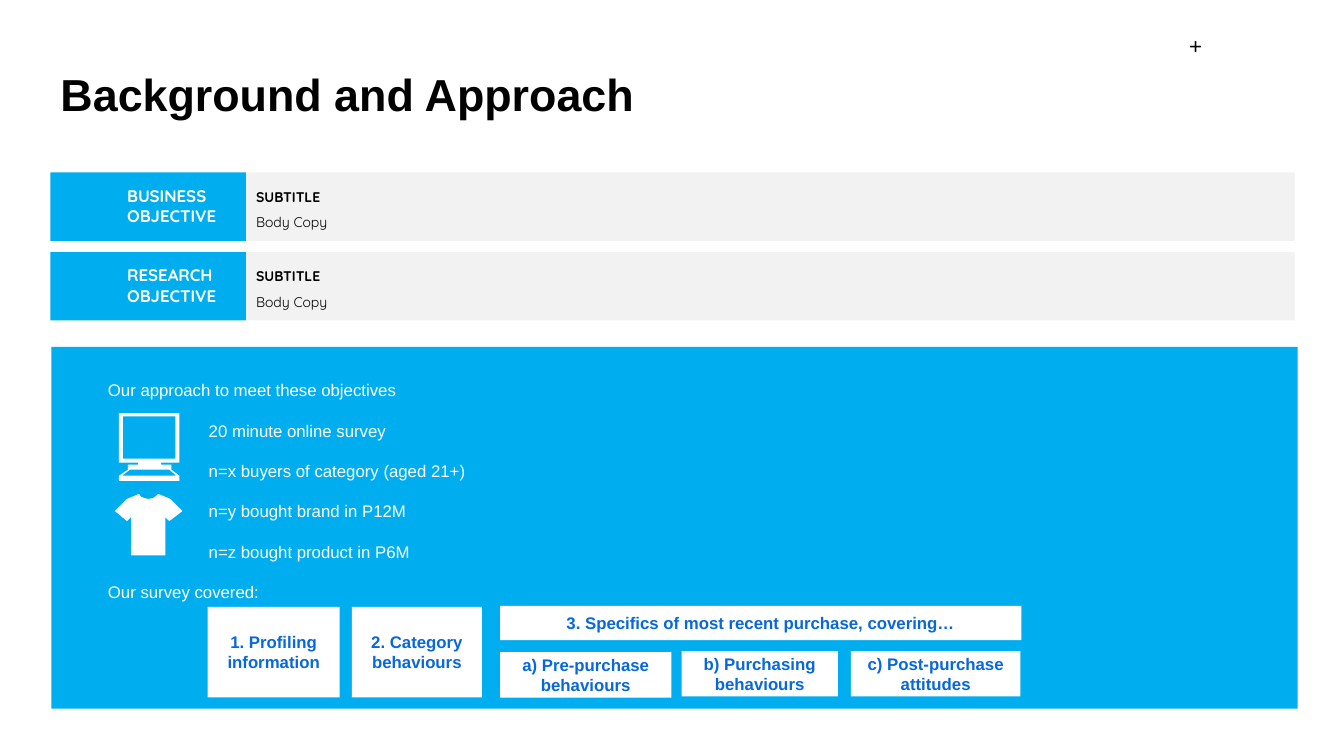
from lxml.etree import SubElement
from pptx import Presentation
from pptx.dml.color import RGBColor
from pptx.enum.shapes import MSO_SHAPE
from pptx.enum.text import MSO_ANCHOR as ANCHOR, PP_ALIGN as ALIGN
from pptx.oxml.ns import qn
from pptx.util import Inches, Pt

BLUE, GREY, WHITE, BLACK, LINK = "00AEEF", "F2F2F2", "FFFFFF", "000000", "0767DC"

OBJECTIVES = [("BUSINESS OBJECTIVE", 1.71), ("RESEARCH OBJECTIVE", 2.5)]

APPROACH = [
    ("Our approach to meet these objectives", 0),
    ("20 minute online survey", 1),
    ("n=x buyers of category (aged 21+)", 1),
    ("n=y bought brand in P12M", 1),
    ("n=z bought product in P6M", 1),
    ("Our survey covered:", 0),
]

TOPICS = [
    ("1. Profiling information", 2.06, 6.02, 1.31, 0.9),
    ("2. Category behaviours", 3.49, 6.02, 1.29, 0.9),
    ("3. Specifics of most recent purchase, covering…", 4.96, 6.01, 5.17, 0.34),
    ("a) Pre-purchase behaviours", 4.96, 6.47, 1.7, 0.45),
    ("b) Purchasing behaviours", 6.76, 6.46, 1.55, 0.45),
    ("c) Post-purchase attitudes", 8.44, 6.46, 1.68, 0.45),
]

MONITOR = [
    [(1.29, 4.66), (1.21, 4.72), (1.75, 4.72), (1.68, 4.66)],
    [(1.22, 4.13), (1.22, 4.55), (1.74, 4.55), (1.74, 4.13)],
    [(1.18, 4.1), (1.78, 4.1), (1.78, 4.59), (1.6, 4.59), (1.6, 4.61),
     (1.7, 4.61), (1.7, 4.66), (1.78, 4.72), (1.78, 4.77), (1.18, 4.77),
     (1.18, 4.72), (1.27, 4.66), (1.27, 4.61), (1.37, 4.61), (1.37, 4.59),
     (1.18, 4.59)],
]

SHIRT = [
    [(1.38, 4.9), (1.4, 4.93), (1.43, 4.94), (1.47, 4.95), (1.52, 4.94),
     (1.55, 4.92), (1.57, 4.9), (1.69, 4.95), (1.81, 5.07), (1.68, 5.17),
     (1.64, 5.13), (1.64, 5.51), (1.3, 5.51), (1.3, 5.13), (1.26, 5.17),
     (1.14, 5.07), (1.26, 4.95)],
]


def color(value):
    """Turn a hex string into a colour."""
    return RGBColor.from_string(value)


def format_text(p, size, value, font="Arial", bold=False):
    """Set the font of every run in a paragraph."""
    for r in p.runs:
        r.font.size, r.font.name, r.font.bold = Pt(size), font, bold
        r.font.color.rgb = color(value)


def set_frame(tf, anchor=ANCHOR.TOP, margins=(0.1, 0.05, 0.1, 0.05)):
    """Set wrapping, anchor and margins of a text frame."""
    tf.word_wrap = True
    tf.vertical_anchor = anchor
    tf.margin_left, tf.margin_top, tf.margin_right, tf.margin_bottom = map(Inches, margins)


def place(sp, x, y, w, h):
    """Move and size a shape."""
    sp.left, sp.top, sp.width, sp.height = map(Inches, (x, y, w, h))


def paint(sp, fill):
    """Give a shape a flat fill without line or shadow."""
    sp.shadow.inherit = False
    sp.fill.solid()
    sp.fill.fore_color.rgb = color(fill)
    sp.line.fill.background()


def add_box(s, x, y, w, h, fill):
    """Add a filled rectangle."""
    sp = s.shapes.add_shape(MSO_SHAPE.RECTANGLE, *map(Inches, (x, y, w, h)))
    paint(sp, fill)
    return sp


def add_text(s, x, y, w, h, text, anchor, margins):
    """Add a text box and return its text frame."""
    tf = s.shapes.add_textbox(*map(Inches, (x, y, w, h))).text_frame
    set_frame(tf, anchor, margins)
    tf.text = text
    return tf


def add_title(s, text):
    """Fill the title placeholder."""
    sp = s.shapes.title
    place(sp, 0.5, 0.17, 9.17, 1.08)
    tf = sp.text_frame
    set_frame(tf, ANCHOR.BOTTOM)
    tf.text = text
    p = tf.paragraphs[0]
    p.alignment, p.line_spacing = ALIGN.LEFT, 0.9
    format_text(p, 32, BLACK, bold=True)


def add_objective(s, label, y):
    """Add one objective row with its label, subtitle and body copy."""
    add_box(s, 2.44, y, 10.4, 0.68, GREY)
    add_box(s, 0.5, y, 1.94, 0.68, BLUE)
    tf = add_text(s, 1.26, y + 0.13, 1.12, 0.4, label, ANCHOR.TOP, (0, 0, 0, 0))
    format_text(tf.paragraphs[0], 12, WHITE, "Quicksand", True)
    tf = add_text(s, 2.54, y + 0.04, 7.12, 0.62, "SUBTITLE\nBody Copy",
                  ANCHOR.MIDDLE, (0, 0.05, 0.05, 0.05))
    subtitle, body = tf.paragraphs
    subtitle.line_spacing = body.line_spacing = 1.2
    body.space_before = Pt(4)
    format_text(subtitle, 10, BLACK, "Quicksand", True)
    format_text(body, 10, BLACK, "Quicksand")


def add_approach(s, lines):
    """Fill the body placeholder and bring it in front of the panel."""
    sp = s.placeholders[1]
    s.shapes._spTree.append(sp._element)
    place(sp, 0.97, 3.72, 9.3, 2.52)
    tf = sp.text_frame
    set_frame(tf)
    tf.text = "\n".join(text for text, _ in lines)
    for i, (p, (_, indent)) in enumerate(zip(tf.paragraphs, lines)):
        pPr = p._p.get_or_add_pPr()
        pPr.set("marL", str(Inches(indent)))
        pPr.set("indent", "0")
        SubElement(pPr, qn("a:buNone"))
        p.space_before = Pt(14.4 if i else 0)
        format_text(p, 12, WHITE)


def add_topic(s, text, x, y, w, h):
    """Add a white box naming a survey topic."""
    tf = add_box(s, x, y, w, h, WHITE).text_frame
    set_frame(tf, ANCHOR.MIDDLE)
    tf.text = text
    tf.paragraphs[0].alignment = ALIGN.CENTER
    format_text(tf.paragraphs[0], 12, LINK, bold=True)


def add_icon(s, contours):
    """Draw a white icon from closed contours given in inches."""
    first, *others = [[(Inches(x), Inches(y)) for x, y in contour] for contour in contours]
    builder = s.shapes.build_freeform(*first[0])
    builder.add_line_segments(first[1:])
    for contour in others:
        builder.move_to(*contour[0])
        builder.add_line_segments(contour[1:])
    paint(builder.convert_to_shape(), WHITE)


def main():
    """Build the slide and save it."""
    prs = Presentation()
    prs.slide_width, prs.slide_height = Inches(13.33), Inches(7.5)
    s = prs.slides.add_slide(prs.slide_layouts[1])
    add_title(s, "Background and Approach")
    tf = add_text(s, 11.68, 0.27, 0.36, 0.37, "+", ANCHOR.MIDDLE, (0.1, 0.05, 0.1, 0.05))
    tf.paragraphs[0].alignment = ALIGN.CENTER
    format_text(tf.paragraphs[0], 16, BLACK)
    for label, y in OBJECTIVES:
        add_objective(s, label, y)
    add_box(s, 0.51, 3.44, 12.36, 3.59, BLUE)
    add_approach(s, APPROACH)
    for topic in TOPICS:
        add_topic(s, *topic)
    for icon in (MONITOR, SHIRT):
        add_icon(s, icon)
    prs.save("out.pptx")


if __name__ == "__main__":
    main()
